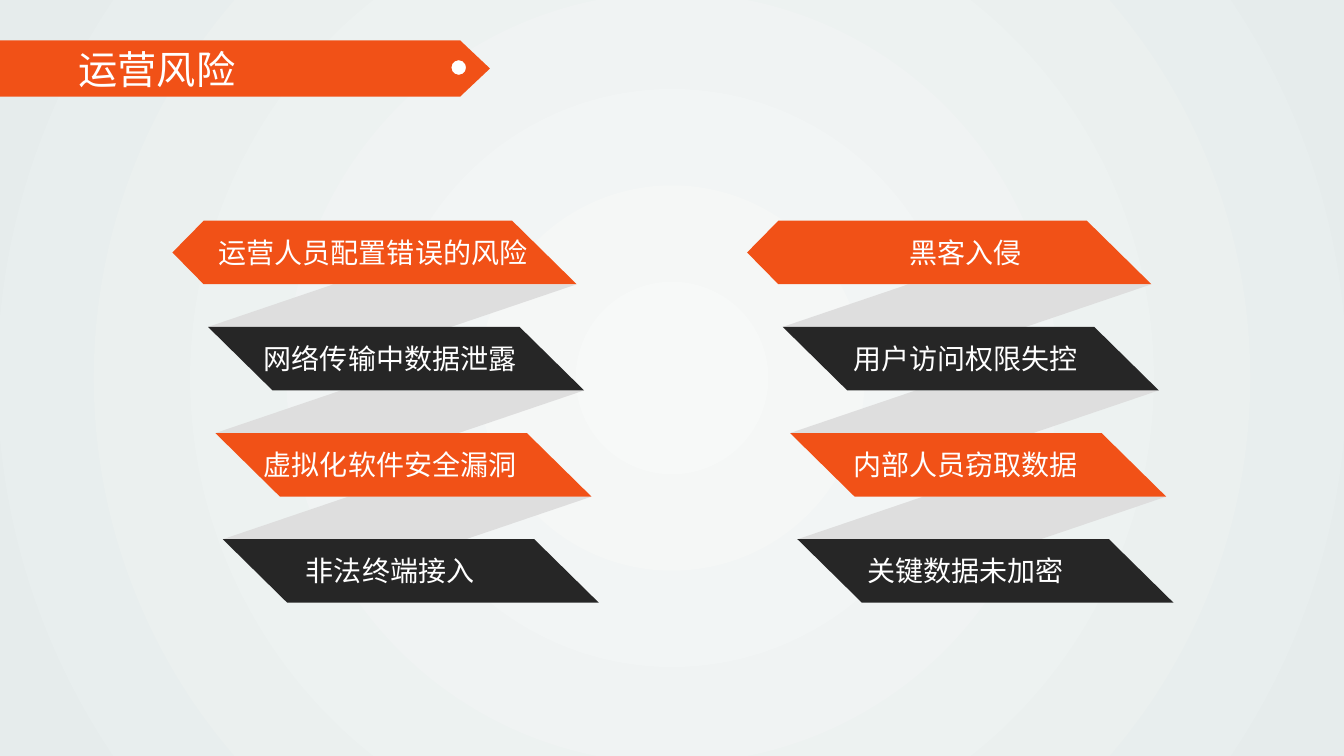
from lxml import etree
from pptx import Presentation
from pptx.dml.color import RGBColor
from pptx.enum.shapes import MSO_SHAPE
from pptx.enum.text import MSO_ANCHOR, PP_ALIGN
from pptx.oxml import parse_xml
from pptx.oxml.ns import nsdecls, qn
from pptx.util import Inches, Pt

PENTAGON, OVAL = MSO_SHAPE.PENTAGON, MSO_SHAPE.OVAL
LEFT, CENTER, MIDDLE = PP_ALIGN.LEFT, PP_ALIGN.CENTER, MSO_ANCHOR.MIDDLE

# Content
TITLE = "运营风险"
COLUMNS = [  # ribbon left, label centres by row, labels
    (1.99, (3.7, 3.87, 3.87, 3.87),
     ("运营人员配置错误的风险", "网络传输中数据泄露", "虚拟化软件安全漏洞", "非法终端接入")),
    (7.69, (9.58, 9.58, 9.58, 9.58),
     ("黑客入侵", "用户访问权限失控", "内部人员窃取数据", "关键数据未加密")),
]
FONT = "Noto Sans CJK SC"
ORANGE, DARK, GREY, WHITE = "F15117", "262626", "DEDEDE", "FFFFFF"
BACKGROUND = ("F7F9F8", "E6ECEC")

# Ribbon geometry, in inches
TOP, HEIGHT, WIDTH, SLANT = 2.19, 0.63, 3.73, 0.64
PITCH = (5.35 - TOP) / 3
DRIFT = (2.21 - 1.99) / 3
FOLD = 2.41
LABEL_W, LABEL_H = 3.4, 0.44


def rgb(value):
    return RGBColor.from_string(value)


def paint(shape, color):
    shape.shadow.inherit = False
    shape.fill.solid()
    shape.fill.fore_color.rgb = rgb(color)
    shape.line.fill.background()


def polygon(s, points, color):
    corners = [(Inches(x), Inches(y)) for x, y in points]
    builder = s.shapes.build_freeform(*corners[0])
    builder.add_line_segments(corners[1:], close=True)
    paint(builder.convert_to_shape(), color)


def write(tf, text, size, align):
    tf.vertical_anchor = MIDDLE
    p = tf.paragraphs[0]
    p.text = text
    p.alignment = align
    p.font.size = Pt(size)
    p.font.color.rgb = rgb(WHITE)
    p.font.name = FONT
    props = p._p.pPr.find(qn("a:defRPr"))
    etree.SubElement(props, qn("a:ea")).set("typeface", FONT)


prs = Presentation()
prs.slide_width, prs.slide_height = Inches(13.33), Inches(7.5)
s = prs.slides.add_slide(prs.slide_layouts[5])

# Radial background
fill = s.background.fill
fill.gradient()
for stop, color in zip(fill.gradient_stops, BACKGROUND):
    stop.color.rgb = rgb(color)
for stop, position in zip(fill.gradient_stops, (0, 1)):
    stop.position = position
linear = s.element.find(".//" + qn("a:lin"))
linear.getparent().replace(linear, parse_xml(
    f'<a:path {nsdecls("a")} path="circle">'
    '<a:fillToRect l="50000" t="50000" r="50000" b="50000"/></a:path>'))

# Title banner
banner = s.shapes.add_shape(PENTAGON, 0, Inches(0.4), Inches(4.86), Inches(0.56))
banner.adjustments[0] = 0.53
paint(banner, ORANGE)
title = s.shapes.title
title.left, title.top = Inches(0.68), Inches(0.4)
title.width, title.height = Inches(3.5), Inches(0.57)
write(title.text_frame, TITLE, 28, LEFT)
s.shapes._spTree.append(title.element)  # bring in front of the banner
dot = s.shapes.add_shape(OVAL, Inches(4.47), Inches(0.59), Inches(0.16), Inches(0.16))
paint(dot, WHITE)
dot.line.color.rgb = rgb(ORANGE)
dot.line.width = Pt(1)

# Folded ribbons
for left, centers, labels in COLUMNS:
    rows = [(left + i * DRIFT, TOP + i * PITCH) for i in range(len(labels))]

    # Grey folds between neighbouring rows
    for (x, y), (next_x, next_y) in zip(rows, rows[1:]):
        right, bottom = x + WIDTH, y + HEIGHT
        polygon(s, [(right - FOLD, bottom), (right, bottom),
                    (next_x + FOLD, next_y), (next_x, next_y)], GREY)

    # Coloured bands with labels
    for i, ((x, y), center, label) in enumerate(zip(rows, centers, labels)):
        right, bottom = x + WIDTH, y + HEIGHT
        if i == 0:
            start = [(x + 0.03, bottom), (x - 0.28, y + HEIGHT / 2), (x + 0.03, y)]
        else:
            start = [(x + SLANT, bottom), (x, y)]
        polygon(s, start + [(right - SLANT, y), (right, bottom)],
                DARK if i % 2 else ORANGE)
        box = s.shapes.add_textbox(Inches(center - LABEL_W / 2), Inches(y + 0.09),
                                   Inches(LABEL_W), Inches(LABEL_H))
        box.text_frame.word_wrap = True
        write(box.text_frame, label, 20, CENTER)

prs.save("out.pptx")
